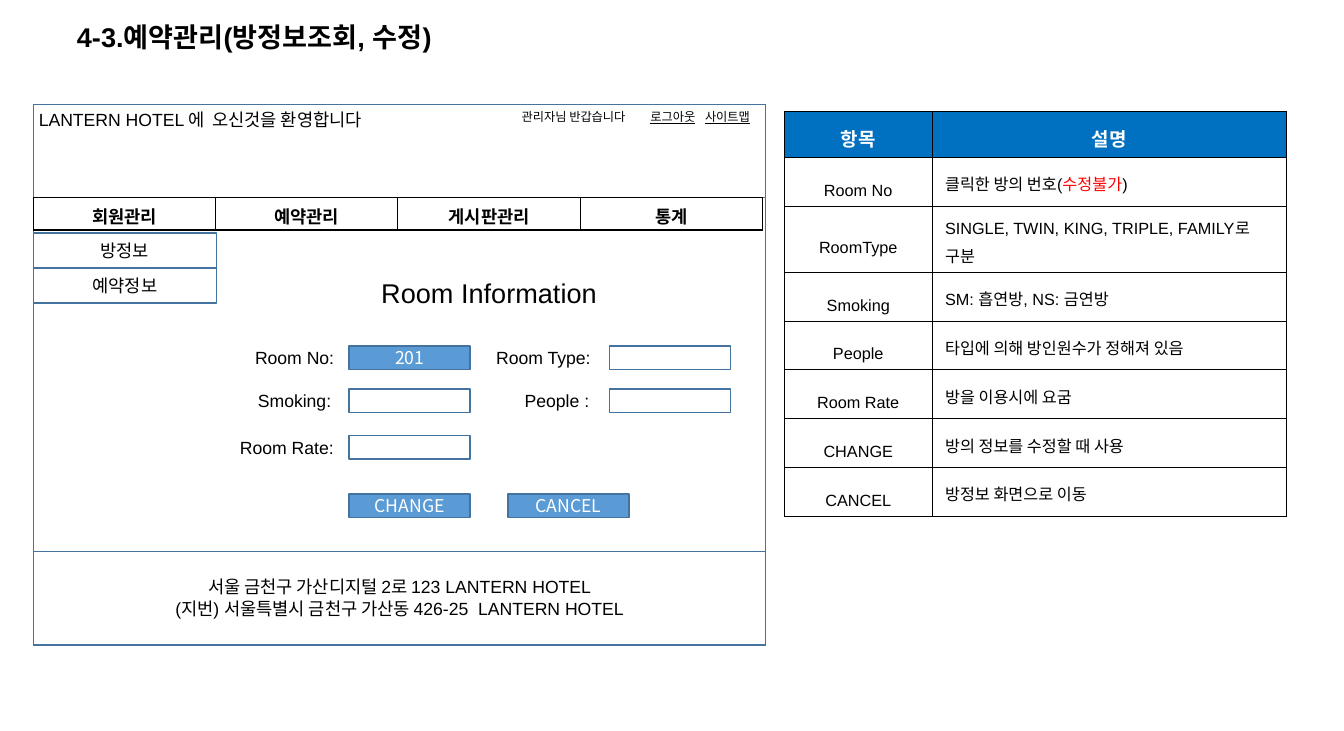
from pptx import Presentation
from pptx.dml.color import RGBColor
from pptx.enum.shapes import MSO_SHAPE
from pptx.enum.text import MSO_ANCHOR, PP_ALIGN
from pptx.oxml import parse_xml
from pptx.oxml.ns import nsdecls
from pptx.util import Pt

LEFT, CENTER = PP_ALIGN.LEFT, PP_ALIGN.CENTER
TOP, MIDDLE = MSO_ANCHOR.TOP, MSO_ANCHOR.MIDDLE
RECT = MSO_SHAPE.RECTANGLE
PX = 9144  # 100 px to the inch
COLORS = {"black": "000000", "white": "FFFFFF", "red": "FF0000",
          "head": "0070C0", "button": "5B9BD5", "line": "43739E"}
SANS, CJK = "Arial", "Noto Sans CJK KR"

TITLE = "4-3.예약관리(방정보조회, 수정)"
WELCOME = "LANTERN HOTEL 에  오신것을 환영합니다"
USER_LINKS = [("관리자님 반갑습니다", 525, 137, False),
              ("로그아웃", 657, 71, True), ("사이트맵", 713, 71, True)]
NAV = ["회원관리", "예약관리", "게시판관리", "통계"]
SIDE_MENU = ["방정보", "예약정보"]
HEADING = "Room Information"
# label, label left, label width, field left, field top, value
FIELDS = [("Room No:", 250, 104, 358, 355, "201"),
          ("Room Type:", 493, 128, 625, 355, ""),
          ("Smoking:", 250, 104, 358, 399, ""),
          ("People :", 507, 128, 625, 399, ""),
          ("Room Rate:", 202, 184, 358, 447, "")]
BUTTONS = [("CHANGE", 358), ("CANCEL", 521)]
ADDRESS = ["서울 금천구 가산디지털 2로 123 LANTERN HOTEL",
           "(지번) 서울특별시 금천구 가산동 426-25  LANTERN HOTEL"]
GUIDE_HEAD = ["항목", "설명"]
GUIDE = [
    ("Room No", [("클릭한 방의 번호(", "black"), ("수정불가", "red"), (")", "black")]),
    ("RoomType", "SINGLE, TWIN, KING, TRIPLE, FAMILY로 구분"),
    ("Smoking", "SM: 흡연방, NS: 금연방"),
    ("People", "타입에 의해 방인원수가 정해져 있음"),
    ("Room Rate", "방을 이용시에 요굼"),
    ("CHANGE", "방의 정보를 수정할 때 사용"),
    ("CANCEL", "방정보 화면으로 이동"),
]

FRAME_X, FRAME_Y, FRAME_W, FRAME_H = 34, 107, 751, 555
BAND_H = 96
FIELD_W, FIELD_H = 124, 24
BUTTON_Y = 507
MENU_Y, MENU_W, MENU_H = 239, 188, 36
NAV_COL, NAV_H = 187, 33
GUIDE_COLS, GUIDE_ROW, GUIDE_TALL = (152, 363), 47, 68

prs = Presentation()
prs.slide_width, prs.slide_height = 1378 * PX, 750 * PX
slide = prs.slides.add_slide(prs.slide_layouts[6])


def rgb(name):
    return RGBColor.from_string(COLORS[name])


def write(tf, lines, color="black", align=CENTER, spacing=None, before=None, **font):
    """Fill a text frame; a line is a string or a list of (text, color) runs."""
    font = {"name": SANS, "size": 13, **font}
    font["size"] = Pt(font["size"])
    for i, line in enumerate(lines):
        p = tf.paragraphs[0] if i == 0 else tf.add_paragraph()
        p.alignment = align
        if spacing:
            p.line_spacing = spacing
        if before:
            p.space_before = Pt(before)
        for text, tint in [(line, color)] if isinstance(line, str) else line:
            r = p.add_run()
            r.text = text
            for key, value in font.items():
                setattr(r.font, key, value)
            r.font.color.rgb = rgb(tint)


def text_box(x, y, w, h, lines, anchor=TOP, wrap=True, **style):
    tf = slide.shapes.add_textbox(x * PX, y * PX, w * PX, h * PX).text_frame
    tf.word_wrap, tf.vertical_anchor = wrap, anchor
    write(tf, lines, **style)


def box(x, y, w, h, text="", fill=None, color="black"):
    sp = slide.shapes.add_shape(RECT, x * PX, y * PX, w * PX, h * PX)
    sp.shadow.inherit = False
    sp.line.color.rgb, sp.line.width = rgb("line"), Pt(1)
    if fill:
        sp.fill.solid()
        sp.fill.fore_color.rgb = rgb(fill)
    else:
        sp.fill.background()
    if text:
        sp.text_frame.vertical_anchor = MIDDLE
        write(sp.text_frame, [text], color, name=CJK)


def table(x, y, cols, rows):
    frame = slide.shapes.add_table(len(rows), len(cols), x * PX, y * PX,
                                   sum(cols) * PX, sum(rows) * PX)
    tbl = frame.table
    tbl.first_row = tbl.horz_banding = False
    for col, w in zip(tbl.columns, cols):
        col.width = w * PX
    for row, h in zip(tbl.rows, rows):
        row.height = h * PX
    return tbl


def cell_format(cell, margins, border, fill=None, anchor=TOP):
    """Set margins (left/right, top, bottom), border width in points and fill."""
    side, top, bottom = (m * PX for m in margins)
    cell.margin_left = cell.margin_right = side
    cell.margin_top, cell.margin_bottom = top, bottom
    cell.vertical_anchor = anchor
    if fill:
        cell.fill.solid()
        cell.fill.fore_color.rgb = rgb(fill)
    else:
        cell.fill.background()
    tc_pr = cell._tc.get_or_add_tcPr()
    for i, edge in enumerate("LRTB"):
        tc_pr.insert(i, parse_xml(
            f'<a:ln{edge} {nsdecls("a")} w="{int(Pt(border))}"><a:solidFill>'
            f'<a:srgbClr val="{COLORS["black"]}"/></a:solidFill></a:ln{edge}>'))


text_box(69, 21, 1189, 38, [TITLE], MIDDLE, align=LEFT, spacing=0.9, size=20, bold=True)

# Field guide
guide = table(804, 114, GUIDE_COLS,
              [GUIDE_ROW] + [GUIDE_TALL if name == "RoomType" else GUIDE_ROW
                             for name, _ in GUIDE])
for r, row in enumerate([GUIDE_HEAD, *GUIDE]):
    for c, content in enumerate(row):
        cell = guide.cell(r, c)
        cell_format(cell, (13, 5, 5), 0.25, "white" if r else "head", MIDDLE)
        if r == 0:
            style = {"color": "white", "size": 14, "bold": True, "spacing": 1.3}
        elif c == 0:
            style = {"size": 12, "spacing": 2.0, "before": 1}
        else:
            style = {"size": 12, "spacing": 1.2, "before": 1, "align": LEFT}
        write(cell.text_frame, [content], **style)

# Page frame, header and footer
footer_y = FRAME_Y + FRAME_H - BAND_H
for y, h in [(FRAME_Y, FRAME_H), (FRAME_Y, BAND_H), (footer_y, BAND_H)]:
    box(FRAME_X, y, FRAME_W, h)
text_box(30, FRAME_Y, 386, 32, [WELCOME], wrap=False, align=LEFT)
for text, x, w, underline in USER_LINKS:
    text_box(x, FRAME_Y, w, 25, [text], wrap=False, align=LEFT, size=9,
             underline=underline)
text_box(FRAME_X, 586, FRAME_W, 60, ADDRESS, before=1)

# Navigation
nav = table(FRAME_X, FRAME_Y + BAND_H, [NAV_COL] * len(NAV), [NAV_H])
for c, text in enumerate(NAV):
    cell_format(nav.cell(0, c), (10, 5, 2), 1)
    write(nav.cell(0, c).text_frame, [text], bold=True)
for i, text in enumerate(SIDE_MENU):
    box(FRAME_X, MENU_Y + i * MENU_H, MENU_W, MENU_H, text)

# Room form
text_box(226, 279, 551, 44, [HEADING], size=20)
for label, label_x, label_w, x, y, value in FIELDS:
    text_box(label_x, y - 4, label_w, 32, [label])
    box(x, y, FIELD_W, FIELD_H, value, "button" if value else None, "white")
for text, x in BUTTONS:
    box(x, BUTTON_Y, FIELD_W, FIELD_H, text, "button", "white")

prs.save("out.pptx")
